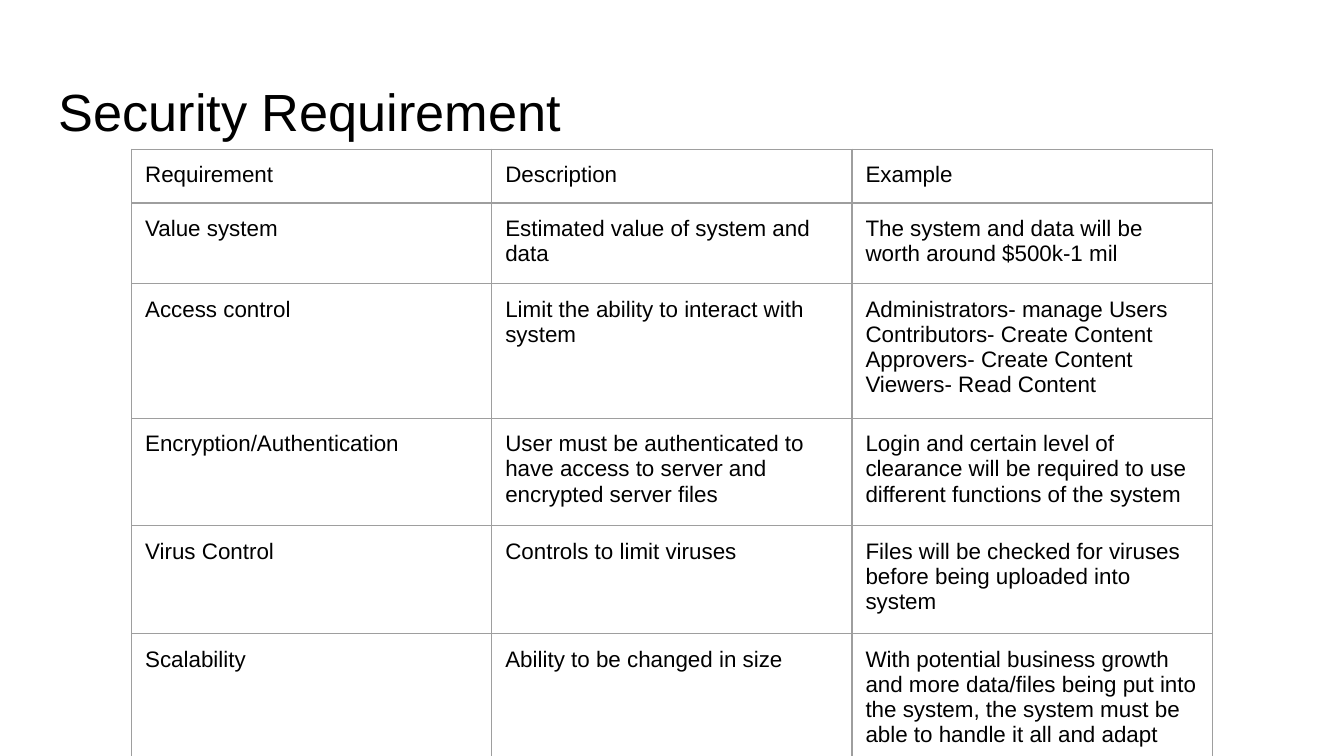
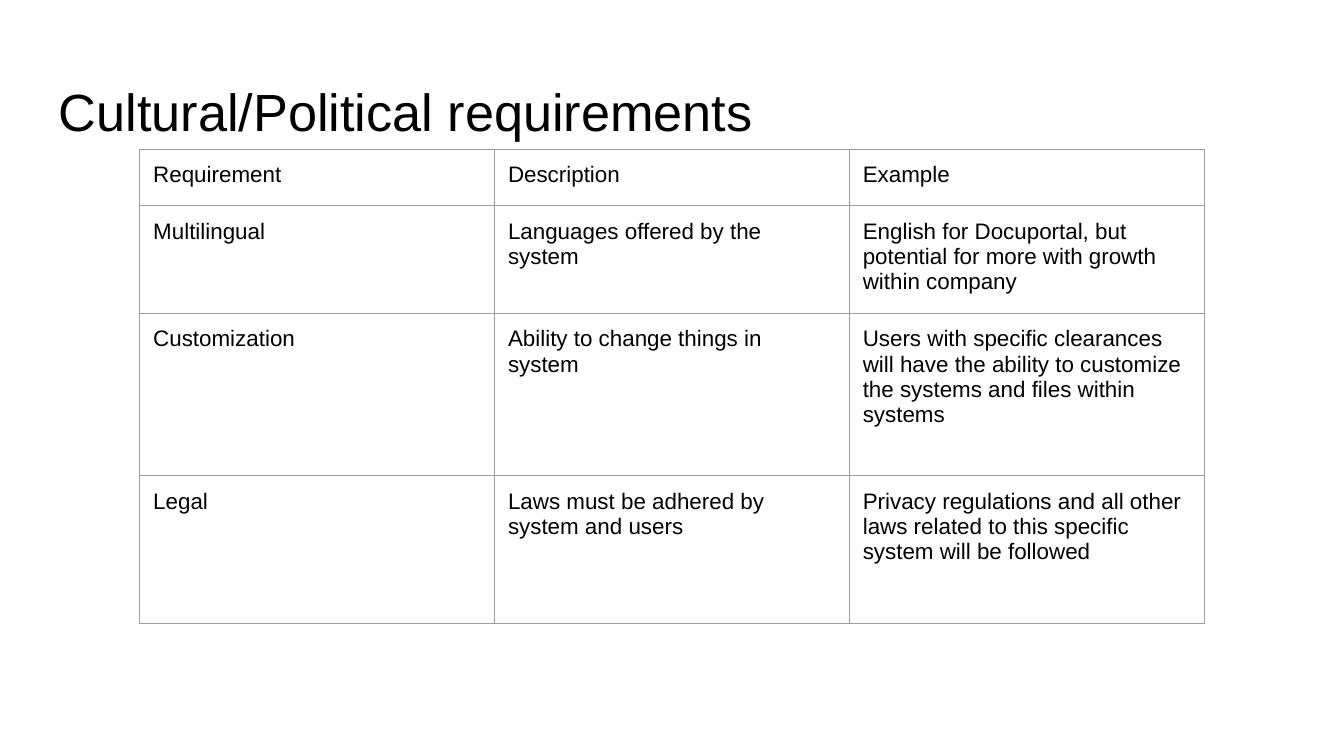
import pptx
import pptx.dml.color
import pptx.enum.text
import pptx.oxml.ns
import pptx.util
from lxml import etree
from pptx.util import Inches, Pt

# Content
HEADER = ("Requirement", "Description", "Example")
SLIDES = [
    {
        "title": "Security Requirement",
        "column_width": 2.68,
        "row_heights": (0.39, 0.57, 0.95, 0.76, 0.76, 0.95),
        "rows": [
            ("Value system", "Estimated value of system and data",
             "The system and data will be worth around $500k-1 mil"),
            ("Access control", "Limit the ability to interact with system",
             "Administrators- manage Users\nContributors- Create Content\n"
             "Approvers- Create Content\nViewers- Read Content"),
            ("Encryption/Authentication",
             "User must be authenticated to have access to server and encrypted server files",
             "Login and certain level of clearance will be required to use "
             "different functions of the system"),
            ("Virus Control", "Controls to limit viruses",
             "Files will be checked for viruses before being uploaded into system"),
            ("Scalability", "Ability to be changed in size",
             "With potential business growth and more data/files being put into the system, "
             "the system must be able to handle it all and adapt"),
        ],
    },
    {
        "title": "Cultural/Political requirements",
        "column_width": 2.64,
        "row_heights": (0.42, 0.8, 1.21, 1.1),
        "rows": [
            ("Multilingual", "Languages offered by the system",
             "English for Docuportal, but potential for more with growth within company"),
            ("Customization", "Ability to change things in system",
             "Users with specific clearances will have the ability to customize "
             "the systems and files within systems"),
            ("Legal", "Laws must be adhered by system and users",
             "Privacy regulations and all other laws related to this specific "
             "system will be followed"),
        ],
    },
]

# Shared style
COLORS = {"background": "FFFFFF", "text": "000000", "border": "9E9E9E"}
FONT = "Arial"
TITLE_SIZE, CELL_SIZE = 28, 12
SLIDE_WIDTH = 10
SLIDE_HEIGHT = SLIDE_WIDTH * 9 / 16
TITLE_BOX = (0.34, 0.49, 9.32, 0.63)
TABLE_TOP = 1.11
MARGIN = 0.1
BORDER_WIDTH = 0.75


def rgb(name):
    return pptx.dml.color.RGBColor.from_string(COLORS[name])


def set_margins(target):
    for side in ("left", "top", "right", "bottom"):
        setattr(target, f"margin_{side}", Inches(MARGIN))


def write_text(text_frame, text, size):
    for index, line in enumerate(text.split("\n")):
        paragraph = text_frame.add_paragraph() if index else text_frame.paragraphs[0]
        paragraph.line_spacing = 1.0
        run = paragraph.add_run()
        run.text = line
        run.font.name = FONT
        run.font.size = Pt(size)
        run.font.color.rgb = rgb("text")


def add_borders(cell):
    qn = pptx.oxml.ns.qn
    properties = cell._tc.get_or_add_tcPr()
    for side in ("lnL", "lnR", "lnT", "lnB"):
        line = etree.SubElement(properties, qn(f"a:{side}"), w=str(Pt(BORDER_WIDTH)))
        fill = etree.SubElement(line, qn("a:solidFill"))
        etree.SubElement(fill, qn("a:srgbClr"), val=COLORS["border"])


def add_title(slide, text):
    text_frame = slide.shapes.add_textbox(*map(Inches, TITLE_BOX)).text_frame
    text_frame.word_wrap = True
    text_frame.vertical_anchor = pptx.enum.text.MSO_ANCHOR.TOP
    set_margins(text_frame)
    write_text(text_frame, text, TITLE_SIZE)


def add_requirements(slide, rows, column_width, row_heights):
    # The table is centred across the slide
    rows = [HEADER, *rows]
    width = column_width * len(HEADER)
    table = slide.shapes.add_table(
        len(rows), len(HEADER), Inches((SLIDE_WIDTH - width) / 2), Inches(TABLE_TOP),
        Inches(width), Inches(sum(row_heights))).table
    table.first_row = table.horz_banding = False
    for column in table.columns:
        column.width = Inches(column_width)
    for row, height, texts in zip(table.rows, row_heights, rows):
        row.height = Inches(height)
        for cell, text in zip(row.cells, texts):
            set_margins(cell)
            add_borders(cell)
            cell.fill.background()
            write_text(cell.text_frame, text, CELL_SIZE)


def main():
    presentation = pptx.Presentation()
    presentation.slide_width = Inches(SLIDE_WIDTH)
    presentation.slide_height = Inches(SLIDE_HEIGHT)
    for content in SLIDES:
        slide = presentation.slides.add_slide(presentation.slide_layouts[6])
        slide.background.fill.solid()
        slide.background.fill.fore_color.rgb = rgb("background")
        add_title(slide, content["title"])
        add_requirements(slide, content["rows"], content["column_width"],
                         content["row_heights"])
    presentation.save("out.pptx")


if __name__ == "__main__":
    main()
